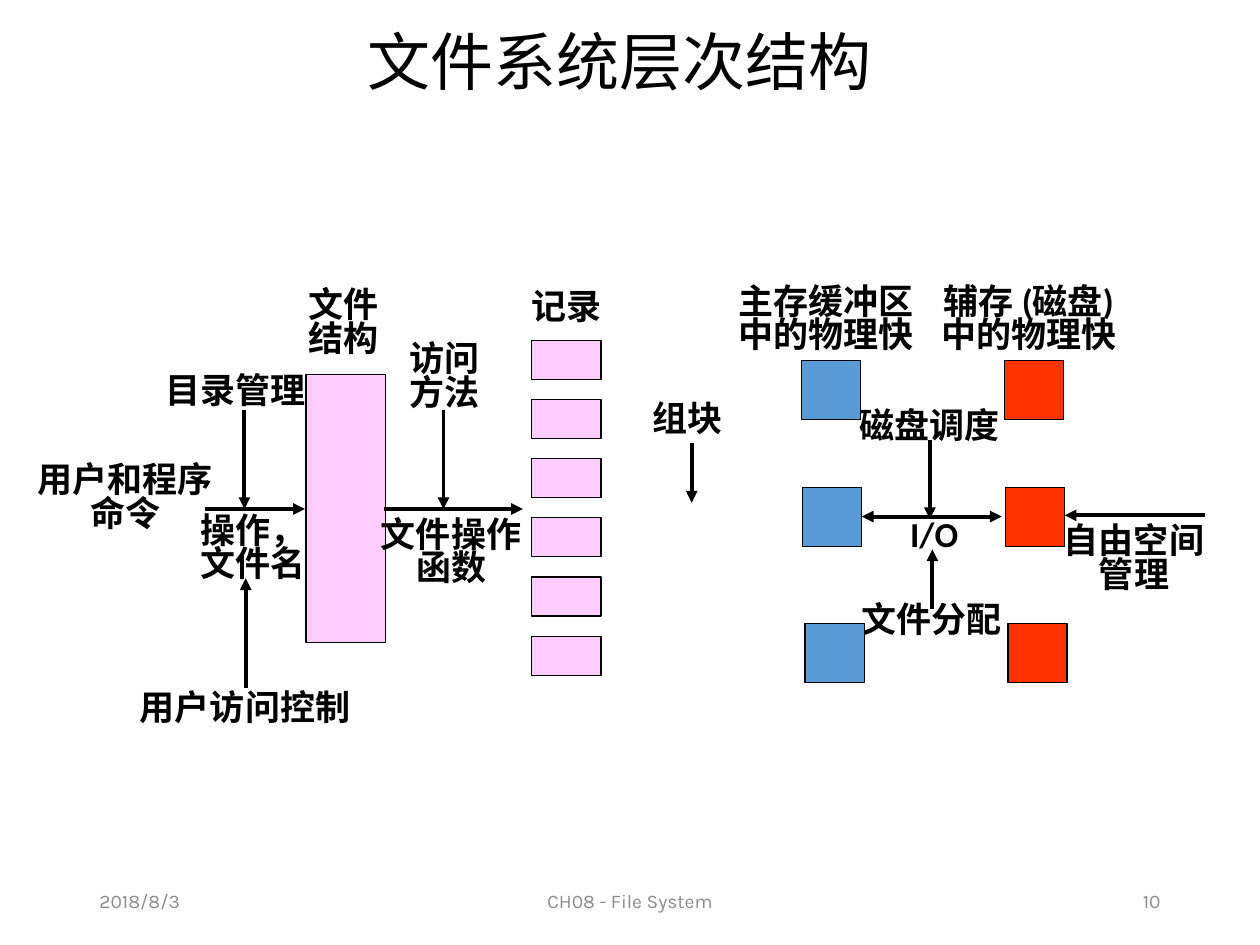
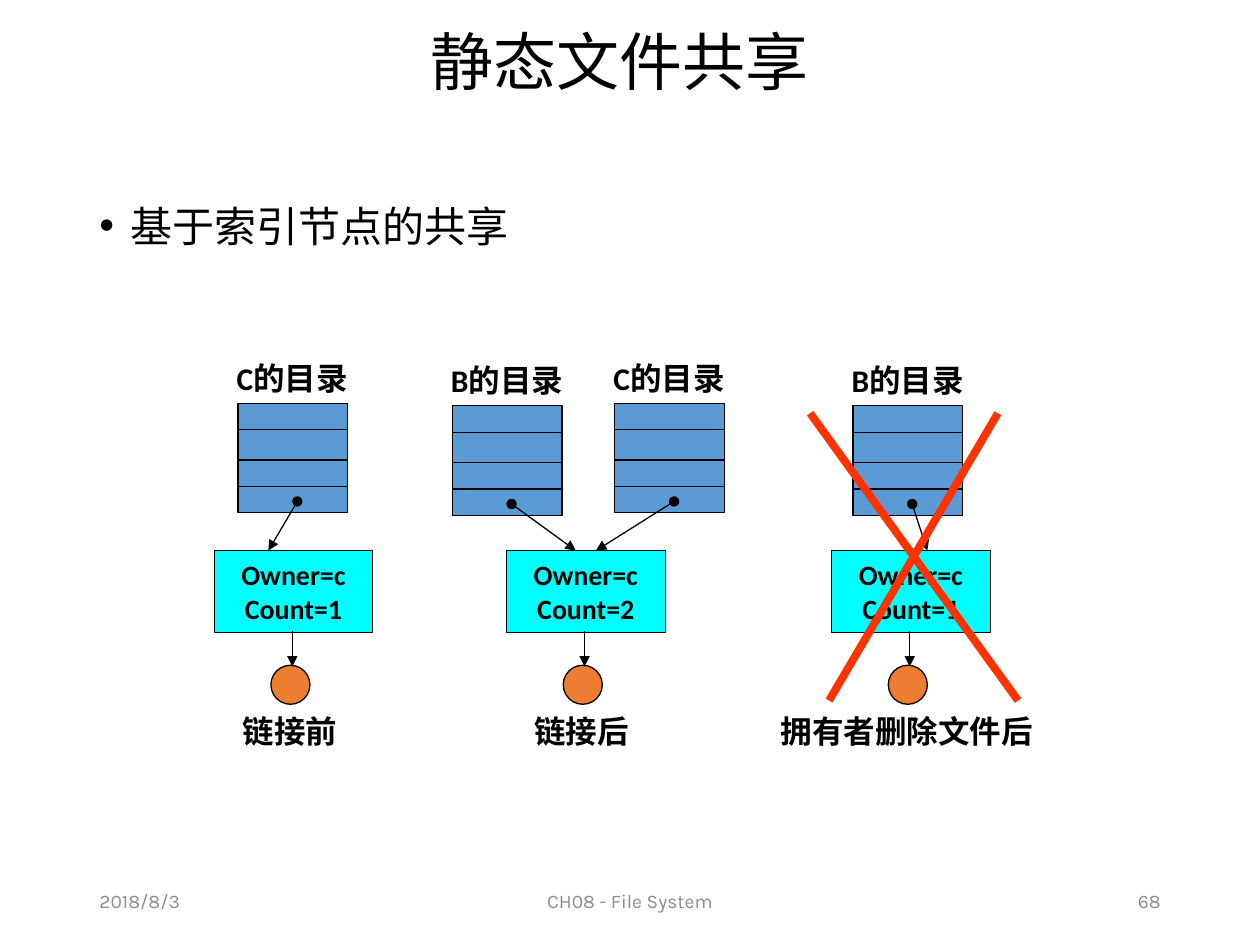
from lxml.etree import SubElement
from pptx import Presentation
from pptx.dml.color import RGBColor
from pptx.enum.shapes import MSO_CONNECTOR, MSO_SHAPE
from pptx.enum.text import MSO_ANCHOR, MSO_AUTO_SIZE, PP_ALIGN
from pptx.oxml.ns import qn
from pptx.util import Inches, Pt

COLORS = {
    "black": "000000",
    "grey": "8C8C8C",
    "pink": "FFCCFF",
    "blue": "5B9BD5",
    "red": "FF3300",
    "cyan": "00FFFF",
    "orange": "ED7D31",
}
CJK = "Noto Sans CJK SC"
LATIN = "Calibri"
FOOTER_FONT = "Karla"


def color(name):
    return RGBColor.from_string(COLORS[name])


def write(frame, text, size, font=LATIN, bold=False, ink="black",
          align=PP_ALIGN.CENTER, spacing=None):
    frame.word_wrap = True
    frame.text = text
    for para in frame.paragraphs:
        para.alignment = align
        para.line_spacing = spacing
        for span in para.runs:
            span.font.size = Pt(size)
            span.font.bold = bold
            span.font.name = font
            span.font.color.rgb = color(ink)
            SubElement(span.font._element, qn("a:ea"), typeface=CJK)


def text_box(shapes, left, top, width, height, text, size, **style):
    box = shapes.add_textbox(Inches(left), Inches(top), Inches(width), Inches(height))
    write(box.text_frame, text, size, **style)
    return box


def label(shapes, left, top, width, text, lines=1):
    """Bold, tightly spaced diagram text that wraps to the given number of lines."""
    box = text_box(shapes, left, top, width, 0.1 + 0.27 * lines, text, 20,
                   bold=True, spacing=0.8)
    box.text_frame.auto_size = MSO_AUTO_SIZE.SHAPE_TO_FIT_TEXT


def caption(shapes, left, top, width, text):
    text_box(shapes, left, top, width, 0.4, text, 18, bold=True, align=PP_ALIGN.LEFT)


def block(shapes, left, top, width, height, fill, kind=MSO_SHAPE.RECTANGLE):
    shape = shapes.add_shape(kind, Inches(left), Inches(top), Inches(width), Inches(height))
    shape.shadow.inherit = False
    shape.fill.solid()
    shape.fill.fore_color.rgb = color(fill)
    shape.line.color.rgb = color("black")
    shape.line.width = Pt(0.75)
    return shape


def line(shapes, start, end, width=0.75, ink="black", head=None, tail=None):
    connector = shapes.add_connector(MSO_CONNECTOR.STRAIGHT,
                                     *(Inches(value) for value in (*start, *end)))
    connector.line.color.rgb = color(ink)
    connector.line.width = Pt(width)
    outline = connector.line._get_or_add_ln()
    for tag, kind in (("a:headEnd", head), ("a:tailEnd", tail)):
        if kind:
            SubElement(outline, qn(tag), type=kind)
    SubElement(connector._element.spPr, qn("a:effectLst"))


def arrow(shapes, start, end, head=None):
    line(shapes, start, end, 2.25, head=head, tail="triangle")


def add_page(deck, title, number):
    """Blank page with the shared title and footer."""
    page = deck.slides.add_slide(deck.slide_layouts[6])
    heading = text_box(page.shapes, 0.61, 0.14, 8.62, 0.76, title, 36, font=CJK, spacing=0.9)
    heading.text_frame.vertical_anchor = MSO_ANCHOR.MIDDLE
    for left, width, text, align in (
        (0.69, 2.25, "2018/8/3", PP_ALIGN.LEFT),
        (3.31, 3.38, "CH08 - File System", PP_ALIGN.CENTER),
        (7.06, 2.25, str(number), PP_ALIGN.RIGHT),
    ):
        footer = text_box(page.shapes, left, 6.95, width, 0.4, text, 11,
                          font=FOOTER_FONT, ink="grey", align=align)
        footer.text_frame.vertical_anchor = MSO_ANCHOR.MIDDLE
    return page


def new_group(page):
    return page.shapes.add_group_shape().shapes


def file_structure(page, left, top):
    shapes = new_group(page)
    block(shapes, left + 0.14, top + 0.71, 0.63, 2.13, "pink")
    label(shapes, left, top, 0.87, "文件结构", lines=2)


def user_commands(page, left, top):
    label(page.shapes, left, top + 0.71, 1.73, "用户和程序命令", lines=2)
    shapes = new_group(page)
    label(shapes, left + 1.29, top + 1.11, 1.18, "操作，文件名", lines=2)
    label(shapes, left + 1.03, top, 1.42, "目录管理")
    label(shapes, left + 0.87, top + 2.52, 1.89, "用户访问控制")
    arrow(shapes, (left + 1.5, top + 1.1), (left + 2.29, top + 1.1))
    arrow(shapes, (left + 1.81, top + 0.31), (left + 1.81, top + 1.1))
    arrow(shapes, (left + 1.82, top + 2.52), (left + 1.82, top + 1.65))


def access_method(page, left, top):
    shapes = new_group(page)
    label(shapes, left + 0.22, top, 0.87, "访问方法", lines=2)
    label(shapes, left, top + 1.39, 1.42, "文件操作函数", lines=2)
    arrow(shapes, (left + 0.18, top + 1.35), (left + 1.28, top + 1.35))
    arrow(shapes, (left + 0.65, top + 0.56), (left + 0.65, top + 1.35))


def records(page, left, top, count=6, pitch=0.47):
    shapes = new_group(page)
    label(shapes, left, top, 0.87, "记录")
    for index in range(count):
        block(shapes, left + 0.16, top + 0.43 + index * pitch, 0.55, 0.31, "pink")


def blocking(page, left, top):
    shapes = new_group(page)
    label(shapes, left, top, 0.87, "组块")
    arrow(shapes, (left + 0.47, top + 0.36), (left + 0.47, top + 0.83))


def physical_blocks(page, left, top):
    """Memory buffers and disk blocks, joined by I/O."""
    shapes = new_group(page)
    column_gap = 1.61
    label(shapes, left, top, 1.81, "主存缓冲区中的物理快", lines=2)
    label(shapes, left + column_gap, top, 1.81, "辅存 (磁盘)中的物理快", lines=2)
    label(shapes, left + 1.02, top + 0.99, 1.42, "磁盘调度")
    label(shapes, left + 1.03, top + 2.53, 1.42, "文件分配")
    label(shapes, left + 2.64, top + 1.9, 1.42, "自由空间管理", lines=2)
    for x, y in ((0.71, 0.63), (0.72, 1.64), (0.74, 2.72)):
        for column, fill in enumerate(("blue", "red")):
            block(shapes, left + x + column * column_gap, top + y, 0.47, 0.47, fill)
    arrow(shapes, (left + 1.19, top + 1.87), (left + 2.3, top + 1.87), head="triangle")
    arrow(shapes, (left + 1.73, top + 1.26), (left + 1.73, top + 1.89))
    label(shapes, left + 1.33, top + 1.85, 0.87, "I/O")
    arrow(shapes, (left + 1.75, top + 2.6), (left + 1.75, top + 2.13))
    arrow(shapes, (left + 3.91, top + 1.86), (left + 2.8, top + 1.86))


def hierarchy_slide(deck):
    page = add_page(deck, "文件系统层次结构", 10)
    file_structure(page, 2.29, 2.26)
    user_commands(page, 0.13, 2.94)
    access_method(page, 2.87, 2.69)
    records(page, 4.06, 2.27)
    blocking(page, 5.02, 3.16)
    physical_blocks(page, 5.65, 2.23)


def bullet_text(page, left, top, width, height, text):
    box = text_box(page.shapes, left, top, width, height, text, 24, font=CJK,
                   align=PP_ALIGN.LEFT, spacing=1.25)
    properties = box.text_frame.paragraphs[0]._p.get_or_add_pPr()
    properties.set("marL", str(Inches(0.25)))
    properties.set("indent", str(Inches(-0.25)))
    SubElement(properties, qn("a:buFont"), typeface="Arial")
    SubElement(properties, qn("a:buChar"), char="•")


def directory(shapes, left, top, owner, target):
    """Four-row directory whose last row points at the target."""
    size = 0.87
    block(shapes, left, top, size, size, "blue")
    for row in (0.21, 0.45, 0.66):
        line(shapes, (left, top + row), (left + size, top + row))
    caption(shapes, left - 0.11, top - 0.4, 1.18, f"{owner}的目录")
    line(shapes, (left + 0.47, top + 0.78), target, head="oval", tail="triangle")


def sharing_stage(page, left, top, count, directories, title, title_left, title_width):
    """Directories, index node and file; the box starts at the node's left edge."""
    shapes = new_group(page)
    node_top = top + 1.57
    node = block(shapes, left, node_top, 1.26, 0.65, "cyan")
    write(node.text_frame, f"Owner=c\nCount={count}", 16, bold=True)
    block(shapes, left + 0.45, top + 2.48, 0.31, 0.31, "orange", MSO_SHAPE.OVAL)
    line(shapes, (left + 0.62, top + 2.21), (left + 0.62, top + 2.49), tail="triangle")
    for owner, x, y, target in directories:
        directory(shapes, left + x, top + y, owner, (left + target, node_top))
    caption(shapes, left + title_left, top + 2.8, title_width, title)


def cross_out(page, left, top):
    shapes = new_group(page)
    for start, end in ((0, 1.65), (1.49, 0.15)):
        line(shapes, (left + start, top), (left + end, top + 2.28), 4.5, "red")


def sharing_slide(deck):
    page = add_page(deck, "静态文件共享", 68)
    bullet_text(page, 0.69, 1.44, 8.62, 5.38, "基于索引节点的共享")
    stages = (
        (1.7, 1, [("C", 0.19, 0.4, 0.43)], "链接前", 0.13, 1.02),
        (4.02, 2, [("B", -0.43, 0.42, 0.55), ("C", 0.86, 0.4, 0.71)], "链接后", 0.12, 1.02),
        (6.6, 1, [("B", 0.17, 0.42, 0.76)], "拥有者删除文件后", -0.5, 2.36),
    )
    for left, *details in stages:
        sharing_stage(page, left, 2.8, *details)
    cross_out(page, 6.43, 3.28)


def main():
    deck = Presentation()
    deck.slide_width, deck.slide_height = Inches(10), Inches(7.5)
    hierarchy_slide(deck)
    sharing_slide(deck)
    deck.save("out.pptx")


if __name__ == "__main__":
    main()
